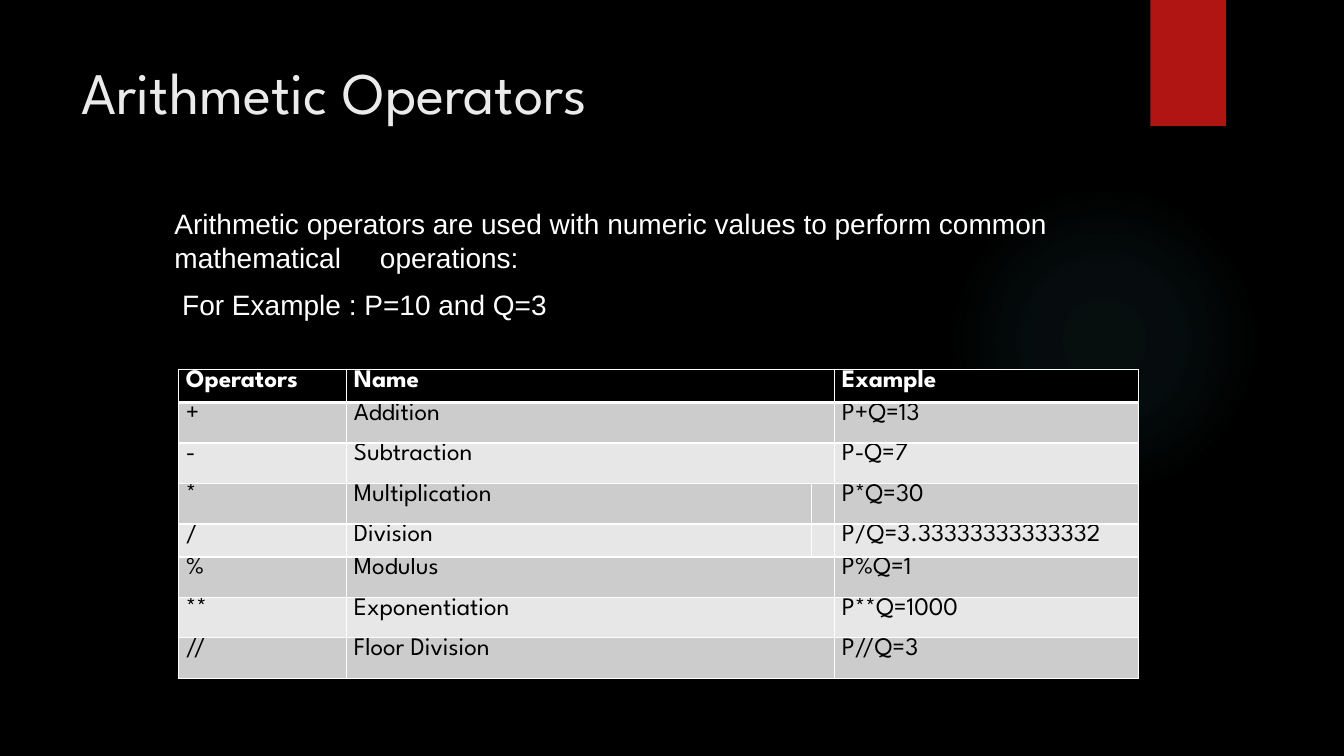
from lxml import etree
from pptx import Presentation
from pptx import util as u
from pptx.dml import color
from pptx.enum import shapes, text
from pptx.oxml import ns

Pt = u.Pt
BLACK = color.RGBColor(0x00, 0x00, 0x00)
WHITE = color.RGBColor(0xFF, 0xFF, 0xFF)
TITLE_GREY = color.RGBColor(0xEB, 0xEB, 0xEB)
RED = color.RGBColor(0xB0, 0x15, 0x13)
TEAL = color.RGBColor(0x50, 0xB9, 0xC1)
BAND_DARK = color.RGBColor(0xCC, 0xCC, 0xCC)
BAND_LIGHT = color.RGBColor(0xE7, 0xE7, 0xE7)

TITLE_FONT = {"name": "League Spartan", "size": Pt(42)}
BODY_FONT = {"name": "Arial", "size": Pt(20)}
HEAD_FONT = {"name": "League Spartan", "size": Pt(18), "bold": True}
CELL_FONT = {**HEAD_FONT, "bold": False}
BODY_PARA = {"alignment": text.PP_ALIGN.LEFT, "space_before": Pt(10)}
TITLE_PARA = {"alignment": text.PP_ALIGN.LEFT}
FRAME = {
    "word_wrap": True,
    "auto_size": text.MSO_AUTO_SIZE.NONE,
    "vertical_anchor": text.MSO_ANCHOR.TOP,
}
CELL_MARGINS = {
    "margin_left": Pt(5.4),
    "margin_right": Pt(5.4),
    "margin_top": 0,
    "margin_bottom": 0,
}

BODY_LINES = [
    "Arithmetic operators are used with numeric values to perform common mathematical     operations:",
    " For Example : P=10 and Q=3",
]
OPERATORS = [
    ("Operators", "Name", "Example"),
    ("+", "Addition", "P+Q=13"),
    ("-", "Subtraction", "P-Q=7"),
    ("*", "Multiplication", "P*Q=30"),
    ("/", "Division", "P/Q=3.33333333333332"),
    ("%", "Modulus", "P%Q=1"),
    ("**", "Exponentiation", "P**Q=1000"),
    ("//", "Floor Division", "P//Q=3"),
]
COLUMN_WIDTHS = [120, 332, 16.6, 217.4]
TALL_ROW, SHORT_ROW = 28.9, 23.6
SHORT_ROWS = {0, 4}
SPLIT_ROWS = {3, 4}
GLOW_STOPS = [(0, 7), (36, 6), (69, 0), (100, 0)]


def apply_format(target, values):
    for name, value in values.items():
        setattr(target, name, value)


def add_element(parent, tag, **attributes):
    return etree.SubElement(parent, ns.qn(tag), attributes)


def write_span(para, words, font, ink):
    span = para.add_run()
    span.text = words
    apply_format(span.font, font)
    span.font.color.rgb = ink


def fill_placeholder(box, place, lines, para_format, font, ink):
    names = ("left", "top", "width", "height")
    apply_format(box, dict(zip(names, map(Pt, place))))
    apply_format(box.text_frame, FRAME)
    for index, line in enumerate(lines):
        frame = box.text_frame
        para = frame.add_paragraph() if index else frame.paragraphs[0]
        apply_format(para, para_format)
        write_span(para, line, font, ink)


def remove_bullets(box, indent):
    for para in box.text_frame.paragraphs:
        properties = para._p.get_or_add_pPr()
        properties.set("marL", str(Pt(indent)))
        properties.set("indent", "0")
        add_element(properties, "a:buNone")


def add_ornament(page, kind, place, ink, order):
    shape = page.shapes.add_shape(kind, *map(Pt, place))
    shape.shadow.inherit = False
    shape.fill.solid()
    shape.fill.fore_color.rgb = ink
    shape.line.fill.background()
    page.shapes._spTree.insert(order, shape._element)
    return shape


def make_glow(shape, ink):
    solid = shape._element.spPr.find(ns.qn("a:solidFill"))
    gradient = etree.Element(ns.qn("a:gradFill"), rotWithShape="1")
    stops = add_element(gradient, "a:gsLst")
    for position, opacity in GLOW_STOPS:
        stop = add_element(stops, "a:gs", pos=str(position * 1000))
        tint = add_element(stop, "a:srgbClr", val=str(ink))
        add_element(tint, "a:alpha", val=str(opacity * 1000))
    circle = add_element(gradient, "a:path", path="circle")
    add_element(circle, "a:fillToRect", l="50000", t="50000", r="50000", b="50000")
    solid.getparent().replace(solid, gradient)


def set_borders(cell, widths, ink):
    properties = cell._tc.get_or_add_tcPr()
    for index, (side, width) in enumerate(widths.items()):
        line = etree.Element(ns.qn(f"a:ln{side}"), w=str(Pt(width)))
        fill = add_element(line, "a:solidFill")
        add_element(fill, "a:srgbClr", val=str(ink))
        properties.insert(index, line)


def format_cell(cell, row):
    apply_format(cell, CELL_MARGINS)
    cell.fill.solid()
    band = BAND_DARK if row % 2 else BAND_LIGHT
    cell.fill.fore_color.rgb = band if row else BLACK
    top = 3 if row == 1 else 1
    bottom = 1 if row else 3
    set_borders(cell, {"L": 1, "R": 1, "T": top, "B": bottom}, WHITE)


def add_operator_table(page, left, top):
    heights = [SHORT_ROW if r in SHORT_ROWS else TALL_ROW for r in range(len(OPERATORS))]
    size = sum(COLUMN_WIDTHS), sum(heights)
    table = page.shapes.add_table(
        len(OPERATORS), len(COLUMN_WIDTHS), *map(Pt, (left, top, *size))
    ).table
    apply_format(table, {"first_row": False, "horz_banding": False})
    for column, width in zip(table.columns, COLUMN_WIDTHS):
        column.width = Pt(width)
    for row, (entries, height) in enumerate(zip(OPERATORS, heights)):
        table.rows[row].height = Pt(height)
        for column in range(len(COLUMN_WIDTHS)):
            format_cell(table.cell(row, column), row)
        if row not in SPLIT_ROWS:
            table.cell(row, 1).merge(table.cell(row, 2))
        font, ink = (CELL_FONT, BLACK) if row else (HEAD_FONT, WHITE)
        for column, words in zip((0, 1, 3), entries):
            write_span(table.cell(row, column).text_frame.paragraphs[0], words, font, ink)


def main():
    deck = Presentation()
    apply_format(deck, {"slide_width": Pt(960), "slide_height": Pt(540)})
    page = deck.slides.add_slide(deck.slide_layouts[1])
    page.background.fill.solid()
    page.background.fill.fore_color.rgb = BLACK

    kinds = shapes.MSO_SHAPE
    glow = add_ornament(page, kinds.OVAL, (677.5, 131.8, 221.8, 221.8), TEAL, 2)
    make_glow(glow, TEAL)
    add_ornament(page, kinds.RECTANGLE, (821.8, 0, 54, 90), RED, 3)

    title, body = page.placeholders
    fill_placeholder(
        title, (51, 36, 741, 110), ["Arithmetic Operators"], TITLE_PARA, TITLE_FONT, TITLE_GREY
    )
    fill_placeholder(body, (114.5, 144, 756, 271.4), BODY_LINES, BODY_PARA, BODY_FONT, WHITE)
    remove_bullets(body, 2.9)
    add_operator_table(page, 127.4, 264)
    deck.save("out.pptx")


if __name__ == "__main__":
    main()
